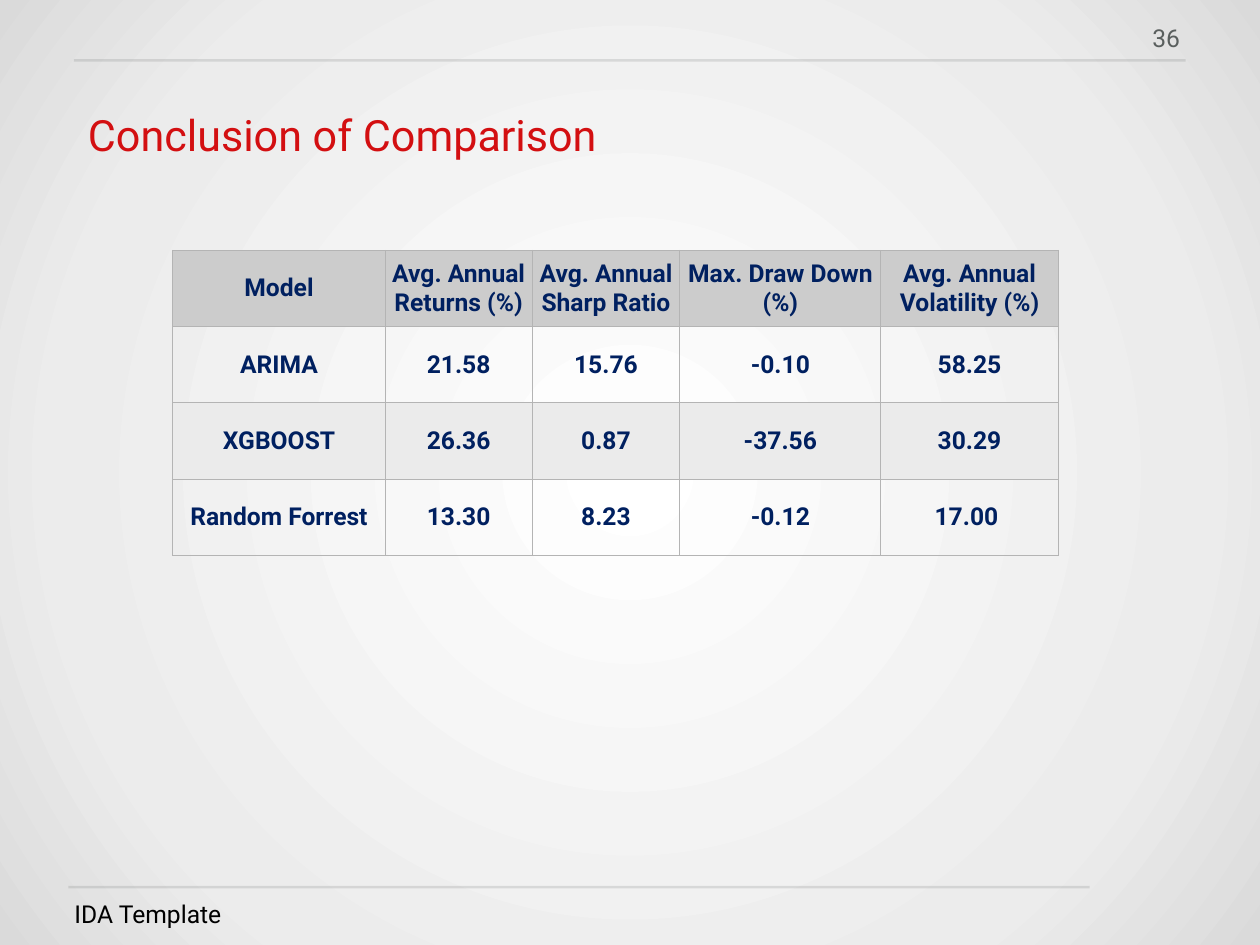
from lxml import etree
from pptx import Presentation
from pptx import util as u
from pptx.dml import color
from pptx.enum import shapes, text
from pptx.oxml import ns

Pt = u.Pt
FONT = "Roboto"
NAVY, GREY, RED, BLACK = "002060", "5A5F5E", "D30F11", "000000"
ROW_FILLS = ["CCCCCC", None, "EBEBEB", None]
COLUMN_WIDTHS = [172.5, 119.5, 120, 163.5, 144]
ROW_HEIGHT = 62
RESULTS = [
    ["Model", "Avg. Annual Returns (%)", "Avg. Annual Sharp Ratio",
     "Max. Draw Down (%)", "Avg. Annual Volatility (%)"],
    ["ARIMA", "21.58", "15.76", "-0.10", "58.25"],
    ["XGBOOST", "26.36", "0.87", "-37.56", "30.29"],
    ["Random Forrest", "13.30", "8.23", "-0.12", "17.00 "],
]


def rgb(value):
    return color.RGBColor.from_string(value)


def apply(target, formats):
    for name, value in formats.items():
        setattr(target, name, value)


def add_child(parent, tag, **attributes):
    return etree.SubElement(parent, ns.qn(tag), attributes)


def add_color(parent, value):
    return add_child(add_child(parent, "a:solidFill"), "a:srgbClr", val=value)


def set_background(page, stops):
    page.background.fill.gradient()
    gradient = page.element.xpath(".//p:bg//a:gradFill")[0]
    for child in list(gradient):
        gradient.remove(child)
    stop_list = add_child(gradient, "a:gsLst")
    for percent, value in stops:
        stop = add_child(stop_list, "a:gs", pos=str(percent * 1000))
        add_child(stop, "a:srgbClr", val=value)
    circle = add_child(gradient, "a:path", path="circle")
    add_child(circle, "a:fillToRect", l="50000", t="50000", r="50000", b="50000")


def add_rule(page, left, right, top):
    rule = page.shapes.add_connector(
        shapes.MSO_CONNECTOR.STRAIGHT, Pt(left), Pt(top), Pt(right), Pt(top))
    rule.line.width = Pt(2)
    rule.line.color.rgb = rgb(GREY)
    properties = rule.element.spPr
    tint = properties.find(".//" + ns.qn("a:srgbClr"))
    add_child(tint, "a:alpha", val="16000")
    add_child(properties, "a:effectLst")


def write(para, words, size, ink, bold=False):
    span = para.add_run()
    span.text = words
    apply(span.font, {"name": FONT, "size": Pt(size), "bold": bold})
    span.font.color.rgb = rgb(ink)


def add_text(page, place, words, size, ink, paragraph_formats, anchor=text.MSO_ANCHOR.TOP):
    box = page.shapes.add_textbox(*map(Pt, place))
    frame = box.text_frame
    inset = Pt(4.5)
    apply(frame, {"word_wrap": True, "vertical_anchor": anchor,
                  "margin_left": inset, "margin_right": inset,
                  "margin_top": inset, "margin_bottom": inset})
    para = frame.paragraphs[0]
    apply(para, paragraph_formats)
    write(para, words, size, ink)


def add_borders(cell):
    properties = cell._tc.get_or_add_tcPr()
    for position, side in enumerate(["a:lnL", "a:lnR", "a:lnT", "a:lnB"]):
        border = etree.Element(ns.qn(side), w=str(Pt(1)))
        add_color(border, "B4B4B4")
        properties.insert(position, border)


def fill_cell(cell, words, fill):
    apply(cell, {"margin_left": 0, "margin_right": 0, "margin_top": 0,
                 "margin_bottom": 0, "vertical_anchor": text.MSO_ANCHOR.MIDDLE})
    if fill:
        cell.fill.solid()
        cell.fill.fore_color.rgb = rgb(fill)
    else:
        cell.fill.background()
    add_borders(cell)
    para = cell.text_frame.paragraphs[0]
    para.alignment = text.PP_ALIGN.CENTER
    write(para, words, 20, NAVY, bold=True)


def add_results(page, left, top):
    table = page.shapes.add_table(
        len(RESULTS), len(COLUMN_WIDTHS), Pt(left), Pt(top),
        Pt(sum(COLUMN_WIDTHS)), Pt(ROW_HEIGHT * len(RESULTS))).table
    apply(table, {"first_row": False, "horz_banding": False})
    for column, width in zip(table.columns, COLUMN_WIDTHS):
        column.width = Pt(width)
    for row, values, fill in zip(table.rows, RESULTS, ROW_FILLS):
        row.height = Pt(ROW_HEIGHT)
        for cell, words in zip(row.cells, values):
            fill_cell(cell, words, fill)


def main():
    deck = Presentation()
    apply(deck, {"slide_width": Pt(1024), "slide_height": Pt(768)})
    page = deck.slides.add_slide(deck.slide_layouts[6])
    set_background(page, [(0, "FFFFFF"), (73, "ECECEC"), (100, "DADADA")])
    add_rule(page, 60, 963.5, 49)
    add_rule(page, 55.5, 885.5, 721)
    add_text(page, (924.5, 16.5, 39, 32), "36", 20, GREY,
             {"alignment": text.PP_ALIGN.RIGHT, "line_spacing": 0.9})
    add_text(page, (56, 727, 431, 32), "IDA Template", 20, BLACK, {},
             text.MSO_ANCHOR.BOTTOM)
    add_text(page, (67, 88.5, 903, 48), "Conclusion of Comparison", 35, RED,
             {"line_spacing": 0.9})
    add_results(page, 140.5, 203.5)
    deck.save("out.pptx")


if __name__ == "__main__":
    main()
